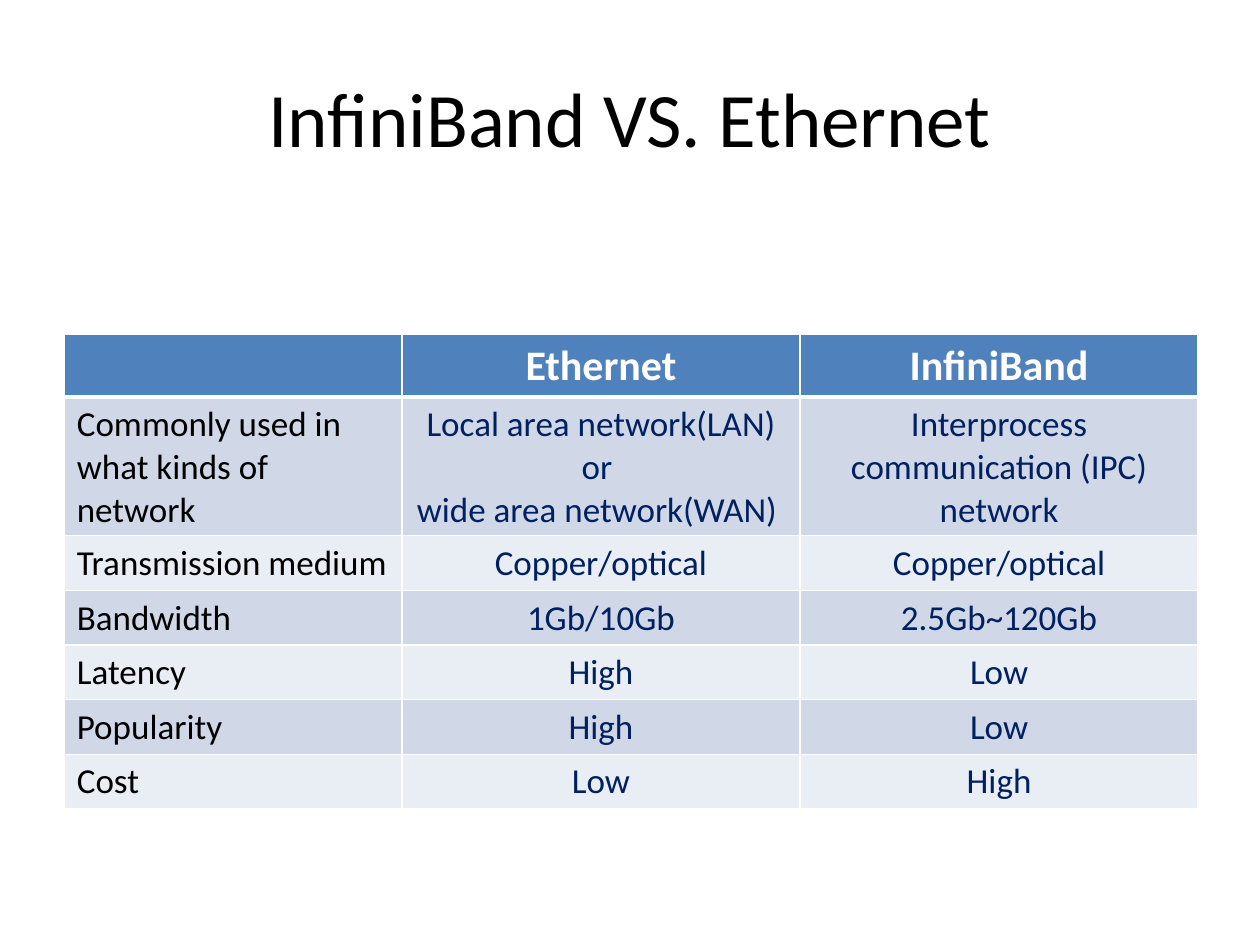
import pptx
import pptx.util
import pptx.dml.color
import pptx.enum.text
import pptx.oxml
import pptx.oxml.ns

Pt = pptx.util.Pt
ALIGN = pptx.enum.text.PP_ALIGN
ANCHOR = pptx.enum.text.MSO_ANCHOR

ROWS = [
    ("", "Ethernet", "InfiniBand"),
    ("Commonly used in what kinds of network",
     "Local area network(LAN) or \nwide area network(WAN) ",
     "Interprocess communication (IPC) network"),
    ("Transmission medium", "Copper/optical", "Copper/optical"),
    ("Bandwidth", "1Gb/10Gb", "2.5Gb~120Gb"),
    ("Latency", "High", "Low"),
    ("Popularity", "High", "Low"),
    ("Cost", "Low", "High"),
]
WIDTHS = [193, 227.5, 227.5]
HEIGHTS = [36, 79.2] + [31.2] * 5


def tint(code):
    """Return the colour for a hex string."""
    return pptx.dml.color.RGBColor.from_string(code)


def write(frame, text, size=20, color="000000", bold=False, align=ALIGN.CENTER):
    """Put text into a frame, one paragraph a line."""
    frame.word_wrap = True
    frame.text = text
    for para in frame.paragraphs:
        para.alignment = align
        font = para.font
        font.name, font.size, font.bold = "Calibri", Pt(size), bold
        font.color.rgb = tint(color)


def edge(cell, side, width, color="FFFFFF"):
    """Draw one border of a cell."""
    line = pptx.oxml.parse_xml(
        f'<a:ln{side} {pptx.oxml.ns.nsdecls("a")} w="{Pt(width)}"><a:solidFill>'
        f'<a:srgbClr val="{color}"/></a:solidFill></a:ln{side}>')
    cell._tc.get_or_add_tcPr().append(line)


def style(cell, row):
    """Give a cell its borders and fill by row."""
    for side in "LRTB":
        thick = (row, side) in ((0, "B"), (1, "T"))
        edge(cell, side, 3 if thick else 1)
    cell.fill.solid()
    band = "D0D8E8" if row % 2 else "E9EDF4"
    cell.fill.fore_color.rgb = tint(band if row else "4F81BD")


def title(slide, text):
    """Add the slide title."""
    box = slide.shapes.add_textbox(Pt(36), Pt(21.6), Pt(648), Pt(90))
    box.text_frame.vertical_anchor = ANCHOR.MIDDLE
    write(box.text_frame, text, size=44)


def table(slide):
    """Add the table that compares the networks."""
    grid = slide.shapes.add_table(
        len(ROWS), len(WIDTHS), Pt(36.7), Pt(190.8), Pt(sum(WIDTHS)), Pt(sum(HEIGHTS))).table
    for col, width in zip(grid.columns, WIDTHS):
        col.width = Pt(width)
    for r, texts in enumerate(ROWS):
        grid.rows[r].height = Pt(HEIGHTS[r])
        for c, text in enumerate(texts):
            cell = grid.cell(r, c)
            style(cell, r)
            if r == 0:
                write(cell.text_frame, text, size=24, color="FFFFFF", bold=True)
            elif c == 0:
                write(cell.text_frame, text, align=ALIGN.LEFT if r == 1 else ALIGN.JUSTIFY)
            else:
                write(cell.text_frame, text, color="002060")


def main():
    """Build and save the slide."""
    deck = pptx.Presentation()
    deck.slide_width, deck.slide_height = Pt(720), Pt(540)
    slide = deck.slides.add_slide(deck.slide_layouts[6])
    title(slide, "InfiniBand VS. Ethernet")
    table(slide)
    deck.save("out.pptx")


if __name__ == "__main__":
    main()
